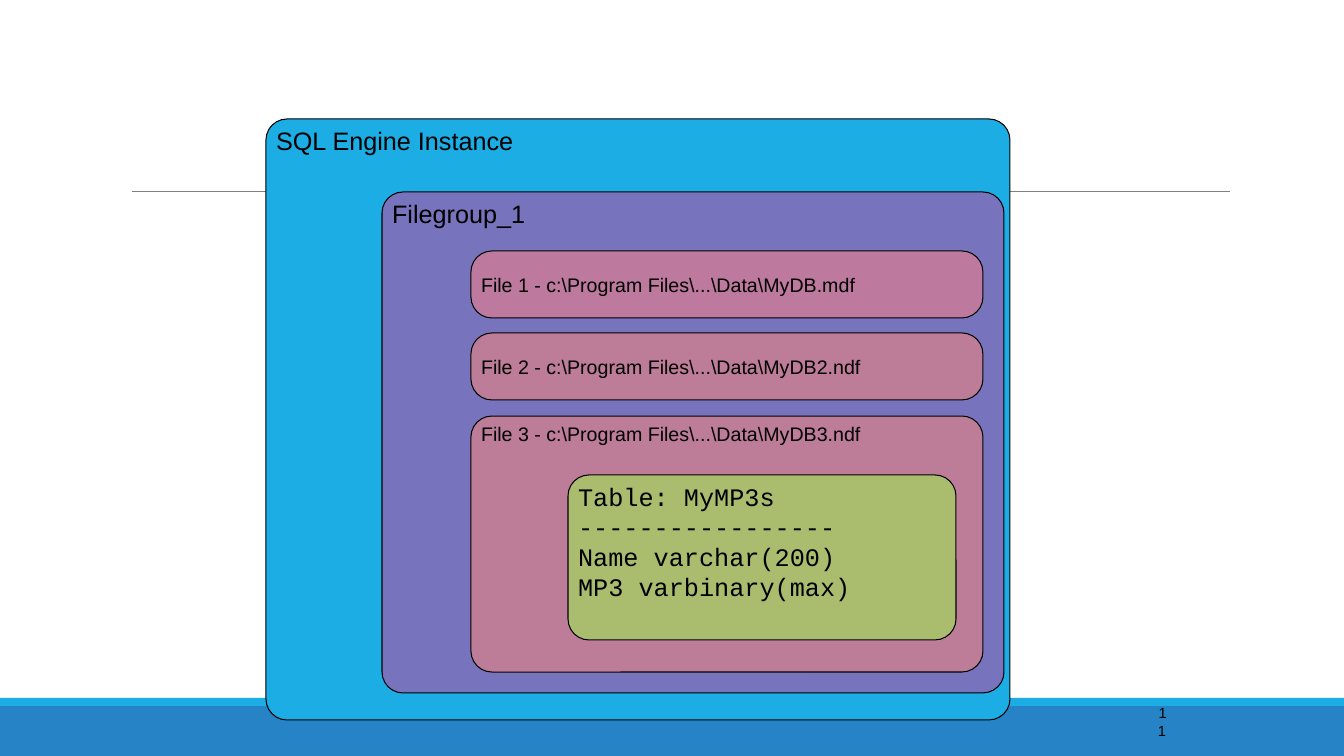
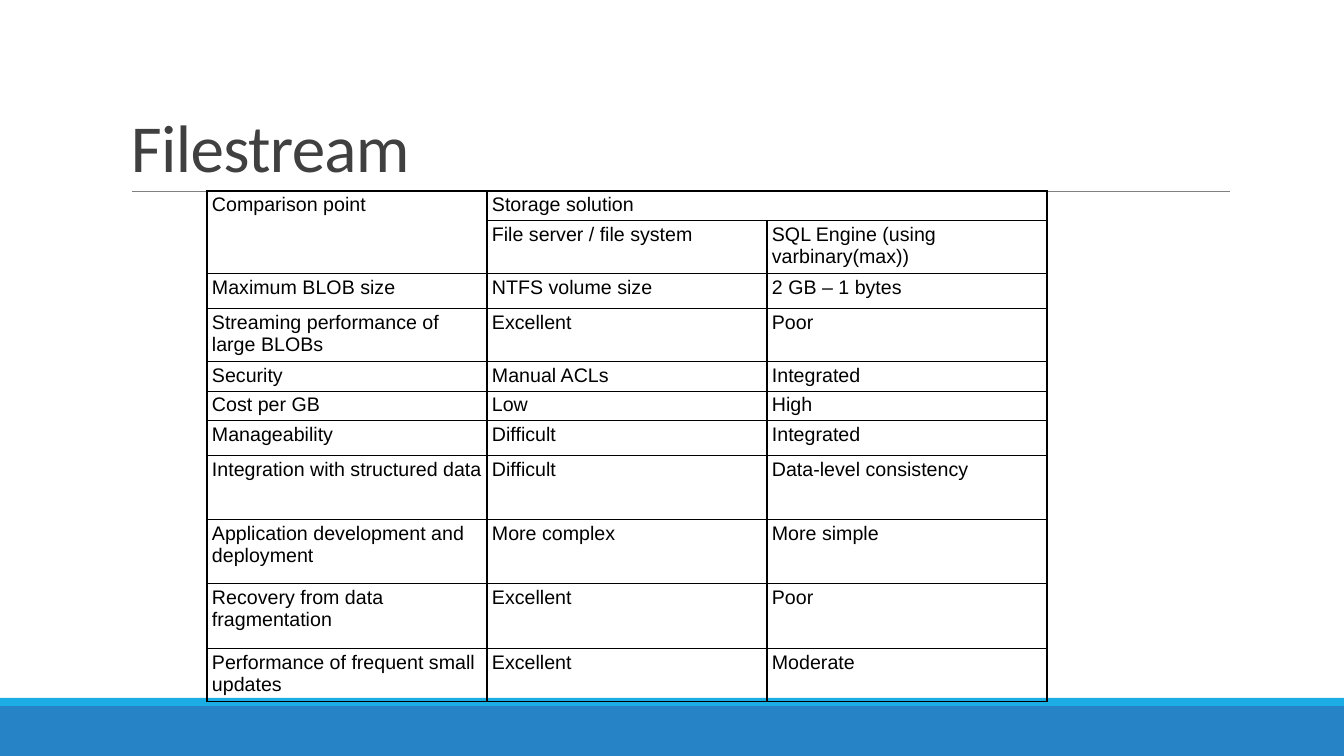
from lxml import etree
from pptx import Presentation, util as u
from pptx.dml.color import RGBColor
from pptx.enum import shapes, text
from pptx.oxml.ns import qn

PX = 9071.43  # EMU per px, at 100.8 px to the inch
BLACK, GREY, TITLE_GREY = "000000", "808080", "404040"
BLUE, CYAN, PURPLE = "2683C6", "1CADE4", "7873BD"
PINK, ROSE, GREEN = "BD7A9E", "BD7C97", "AABD6F"
TOP, MIDDLE, BOTTOM = (text.MSO_ANCHOR.TOP, text.MSO_ANCHOR.MIDDLE,
                       text.MSO_ANCHOR.BOTTOM)
LEFT, RIGHT = text.PP_ALIGN.LEFT, text.PP_ALIGN.RIGHT
CORNER = 21


def px(*lengths):
    return [u.Emu(round(length * PX)) for length in lengths]


def color(hex_string):
    return RGBColor.from_string(hex_string)


def write(holder, lines, size, font="Arial", ink=BLACK, align=LEFT):
    """Fill a text frame with one paragraph per line."""
    holder.word_wrap = True
    for number, line in enumerate(lines):
        para = holder.paragraphs[0] if number == 0 else holder.add_paragraph()
        para.alignment = align
        span = para.add_run()
        span.text = line
        for name, value in {"size": u.Pt(size), "name": font}.items():
            setattr(span.font, name, value)
        span.font.color.rgb = color(ink)


def set_margins(holder, left, top, right, bottom):
    sides = ("margin_left", "margin_top", "margin_right", "margin_bottom")
    for side, value in zip(sides, px(left, top, right, bottom)):
        setattr(holder, side, value)


deck = Presentation()
deck.slide_width, deck.slide_height = px(1344, 756)
pages = [deck.slides.add_slide(deck.slide_layouts[6]) for _ in range(2)]
storage_page, comparison_page = pages

# Shared bands and title rule
for page in pages:
    for top, height, fill in ((706, 50, BLUE), (698, 8, CYAN)):
        band = page.shapes.add_shape(shapes.MSO_SHAPE.RECTANGLE,
                                     *px(0, top, 1344, height))
        band.shadow.inherit = False
        band.fill.solid()
        band.fill.fore_color.rgb = color(fill)
        band.line.fill.background()
    rule = page.shapes.add_connector(shapes.MSO_CONNECTOR.STRAIGHT,
                                     *px(132, 191, 1230, 191))
    rule.line.color.rgb = color(GREY)
    rule.line.width = u.Pt(0.5)
    etree.SubElement(rule.element.spPr, qn("a:effectLst"))

# Storage hierarchy
page_number = storage_page.shapes.add_textbox(*px(1147, 706, 29, 31))
page_number.text_frame.vertical_anchor = MIDDLE
write(page_number.text_frame, ["11"], 10.5, align=RIGHT)

FILE_LEFT, FILE_WIDTH = 471, 512
table_lines = ["Table: MyMP3s", "-" * 17, "Name varchar(200)", "MP3 varbinary(max)"]
containers = [
    ((266, 119, 744, 601), CYAN, ["SQL Engine Instance"], 18, "Arial", TOP),
    ((382, 192, 622, 501), PURPLE, ["Filegroup_1"], 18, "Arial", TOP),
    ((FILE_LEFT, 251, FILE_WIDTH, 67), PINK,
     [r"File 1 - c:\Program Files\...\Data\MyDB.mdf"], 14, "Arial", MIDDLE),
    ((FILE_LEFT, 333, FILE_WIDTH, 67), ROSE,
     [r"File 2 - c:\Program Files\...\Data\MyDB2.ndf"], 14, "Arial", MIDDLE),
    ((FILE_LEFT, 416, FILE_WIDTH, 256), ROSE,
     [r"File 3 - c:\Program Files\...\Data\MyDB3.ndf"], 14, "Arial", TOP),
    ((568, 475, 388, 165), GREEN, table_lines, 18, "Courier New", TOP),
]
for place, fill, lines, size, font, anchor in containers:
    box = storage_page.shapes.add_shape(shapes.MSO_SHAPE.ROUNDED_RECTANGLE,
                                        *px(*place))
    box.adjustments[0] = CORNER / min(place[2:])
    box.shadow.inherit = False
    box.fill.solid()
    box.fill.fore_color.rgb = color(fill)
    box.line.color.rgb = color(BLACK)
    box.line.width = u.Pt(0.75)
    box.text_frame.vertical_anchor = anchor
    set_margins(box.text_frame, 4, 0, 4, 0)
    write(box.text_frame, lines, size, font)

# Comparison title
title = comparison_page.shapes.add_textbox(*px(121, 31, 1109, 160))
title.text_frame.vertical_anchor = BOTTOM
set_margins(title.text_frame, 10, 5, 14, 5)
write(title.text_frame, ["Filestream"], 48, "Calibri", TITLE_GREY)
title.text_frame.paragraphs[0].line_spacing = 0.85
for properties in title.element.iter(qn("a:rPr")):
    properties.set("spc", "-50")

# Comparison table
rows = [
    (28, "Comparison point", "Storage solution", ""),
    (49, "", "File server / file system", "SQL Engine (using varbinary(max))"),
    (35, "Maximum BLOB size", "NTFS volume size", "2 GB – 1 bytes"),
    (50, "Streaming performance of large BLOBs", "Excellent", "Poor"),
    (29, "Security", "Manual ACLs", "Integrated"),
    (27, "Cost per GB", "Low", "High"),
    (35, "Manageability", "Difficult", "Integrated"),
    (64, "Integration with structured data", "Difficult", "Data-level consistency"),
    (64, "Application development and deployment", "More complex", "More simple"),
    (65, "Recovery from data fragmentation", "Excellent", "Poor"),
    (50, "Performance of frequent small updates", "Excellent", "Moderate"),
]
table_height = sum(row[0] for row in rows)
table = comparison_page.shapes.add_table(
    len(rows), 3, *px(207, 191, 3 * 280, table_height)).table
table.first_row = table.horz_banding = False
for column in table.columns:
    column.width = px(280)[0]
for row_index, (height, *words) in enumerate(rows):
    table.rows[row_index].height = px(height)[0]
    for column_index, word in enumerate(words):
        cell = table.cell(row_index, column_index)
        set_margins(cell, 5, 3, 3, 3)
        write(cell.text_frame, [word] if word else [], 14)
        properties = cell._tc.get_or_add_tcPr()
        for side in ("lnL", "lnR", "lnT", "lnB"):
            border = etree.SubElement(properties, qn(f"a:{side}"), w=str(u.Pt(1)))
            solid = etree.SubElement(border, qn("a:solidFill"))
            etree.SubElement(solid, qn("a:srgbClr"), val=BLACK)
        cell.fill.background()
        if not word:
            cell.text_frame.paragraphs[0].font.size = u.Pt(14)
table.cell(0, 0).merge(table.cell(1, 0))
table.cell(0, 1).merge(table.cell(0, 2))

deck.save("out.pptx")
